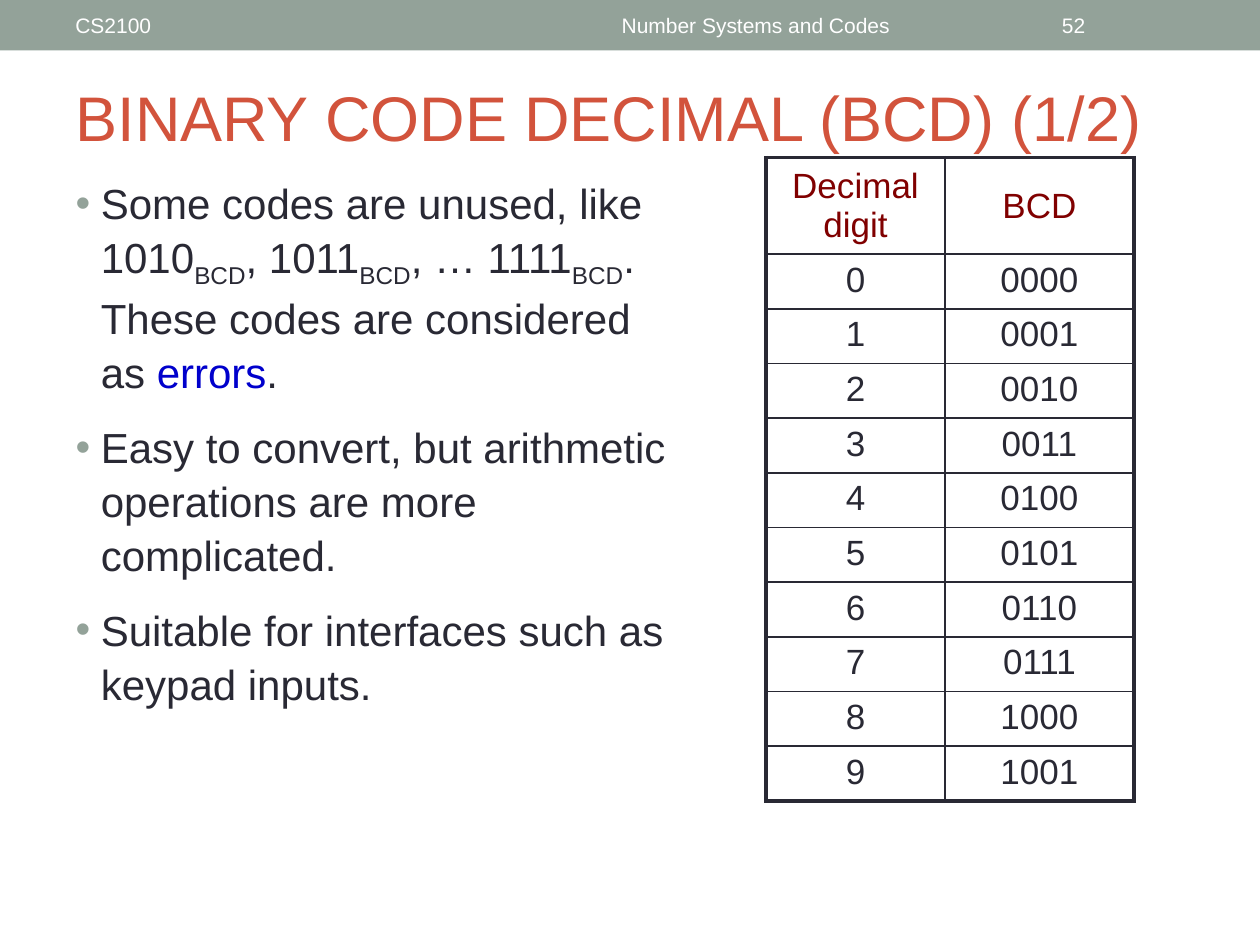
import lxml.etree
import pptx
import pptx.dml.color
import pptx.enum.shapes
import pptx.enum.text
import pptx.oxml.ns
import pptx.util

Inches, Pt = pptx.util.Inches, pptx.util.Pt
ALIGN, ANCHOR = pptx.enum.text.PP_ALIGN, pptx.enum.text.MSO_ANCHOR
WIDTH, HEIGHT = 10, 7.5
INK, SAGE, WHITE = "292934", "93A299", "FFFFFF"
TITLE_RED, MAROON, BLUE = "D2533C", "800000", "0000CC"
THIN, THICK = 1, 2.25
DIGITS = 10
HEADER_HEIGHT, ROW_HEIGHT = 0.72, 0.41


def rgb(color):
    return pptx.dml.color.RGBColor.from_string(color)


def add_xml(parent, tag, **attributes):
    return lxml.etree.SubElement(parent, pptx.oxml.ns.qn(tag), attributes)


def place(shape, left, top, width, height):
    shape.left, shape.top = Inches(left), Inches(top)
    shape.width, shape.height = Inches(width), Inches(height)


def style(para, size, color, align=ALIGN.LEFT):
    para.alignment = align
    para.font.name = "Arial"
    para.font.size = Pt(size)
    para.font.color.rgb = rgb(color)


def add_header_bar(page):
    bar = page.shapes.add_shape(pptx.enum.shapes.MSO_SHAPE.RECTANGLE,
                                0, 0, Inches(WIDTH), Inches(0.4))
    bar.shadow.inherit = False
    bar.fill.solid()
    bar.fill.fore_color.rgb = rgb(SAGE)
    bar.line.fill.background()


def add_header_text(page, text, left, width, align=ALIGN.LEFT):
    box = page.shapes.add_textbox(Inches(left), Inches(0.02), Inches(width), Inches(0.36))
    frame = box.text_frame
    frame.word_wrap = True
    frame.vertical_anchor = ANCHOR.MIDDLE
    frame.text = text
    style(frame.paragraphs[0], 12, WHITE, align)


def fill_title(title, text):
    place(title, 0.5, 0.3, 9, 1.25)
    frame = title.text_frame
    frame.auto_size = pptx.enum.text.MSO_AUTO_SIZE.NONE
    frame.vertical_anchor = ANCHOR.MIDDLE
    frame.text = text
    style(frame.paragraphs[0], 36, TITLE_RED)


def add_bullet(para):
    properties = para._p.get_or_add_pPr()
    properties.set("marL", str(Inches(0.2)))
    properties.set("indent", str(Inches(-0.2)))
    add_xml(add_xml(properties, "a:buClr"), "a:srgbClr", val=SAGE)
    add_xml(properties, "a:buFont", typeface="Arial")
    add_xml(properties, "a:buChar", char="•")


def fill_body(body, items):
    """Each item is a list of (text, kind) spans; kind is "", "sub" or "key"."""
    place(body, 0.5, 1.33, 5, 5.37)
    frame = body.text_frame
    frame.auto_size = pptx.enum.text.MSO_AUTO_SIZE.NONE
    for index, spans in enumerate(items):
        para = frame.add_paragraph() if index else frame.paragraphs[0]
        style(para, 24, INK)
        para.line_spacing = 1.07
        para.space_before = Pt(12 if index else 0)
        add_bullet(para)
        for text, kind in spans:
            span = para.add_run()
            span.text = text
            if kind == "sub":
                span.font._element.set("baseline", "-25000")
            elif kind == "key":
                span.font.color.rgb = rgb(BLUE)


def set_borders(cell, widths):
    """Widths are in points, in the order left, right, top, bottom."""
    properties = cell._tc.get_or_add_tcPr()
    for side, width in zip("LRTB", widths):
        line = add_xml(properties, "a:ln" + side, w=str(Pt(width)))
        add_xml(add_xml(line, "a:solidFill"), "a:srgbClr", val=INK)


def add_code_table(page, rows):
    column_widths = (1.42, 1.5)
    heights = [HEADER_HEIGHT] + [ROW_HEIGHT] * (len(rows) - 1)
    frame = page.shapes.add_table(len(rows), 2, Inches(6.08), Inches(1.25),
                                  Inches(sum(column_widths)), Inches(sum(heights)))
    table = frame.table
    table.first_row = table.horz_banding = False
    for column, width in zip(table.columns, column_widths):
        column.width = Inches(width)
    last = len(rows) - 1
    for r, values in enumerate(rows):
        table.rows[r].height = Inches(heights[r])
        for c, text in enumerate(values):
            cell = table.cell(r, c)
            outer = (c == 0, c == 1, r == 0, r == last)
            set_borders(cell, [THICK if edge else THIN for edge in outer])
            cell.fill.background()
            cell.vertical_anchor = ANCHOR.TOP if r else ANCHOR.MIDDLE
            cell.text = text
            style(cell.text_frame.paragraphs[0], 20, INK if r else MAROON, ALIGN.CENTER)


def main():
    deck = pptx.Presentation()
    deck.slide_width, deck.slide_height = Inches(WIDTH), Inches(HEIGHT)
    page = deck.slides.add_slide(deck.slide_layouts[1])
    add_header_bar(page)
    add_header_text(page, "CS2100", 0.5, 3.17)
    add_header_text(page, "Number Systems and Codes", 3.75, 4.5, ALIGN.CENTER)
    add_header_text(page, "52", 8.33, 1.17)
    fill_title(page.shapes.title, "BINARY CODE DECIMAL (BCD) (1/2)")
    fill_body(page.placeholders[1], [
        [("Some codes are unused, like 1010", ""), ("BCD", "sub"),
         (", 1011", ""), ("BCD", "sub"), (", … 1111", ""), ("BCD", "sub"),
         (". These codes are considered as ", ""), ("errors", "key"), (".", "")],
        [("Easy to convert, but arithmetic operations are more complicated.", "")],
        [("Suitable for interfaces such as keypad inputs.", "")],
    ])
    codes = [(str(digit), f"{digit:04b}") for digit in range(DIGITS)]
    add_code_table(page, [("Decimal digit", "BCD")] + codes)
    deck.save("out.pptx")


if __name__ == "__main__":
    main()
